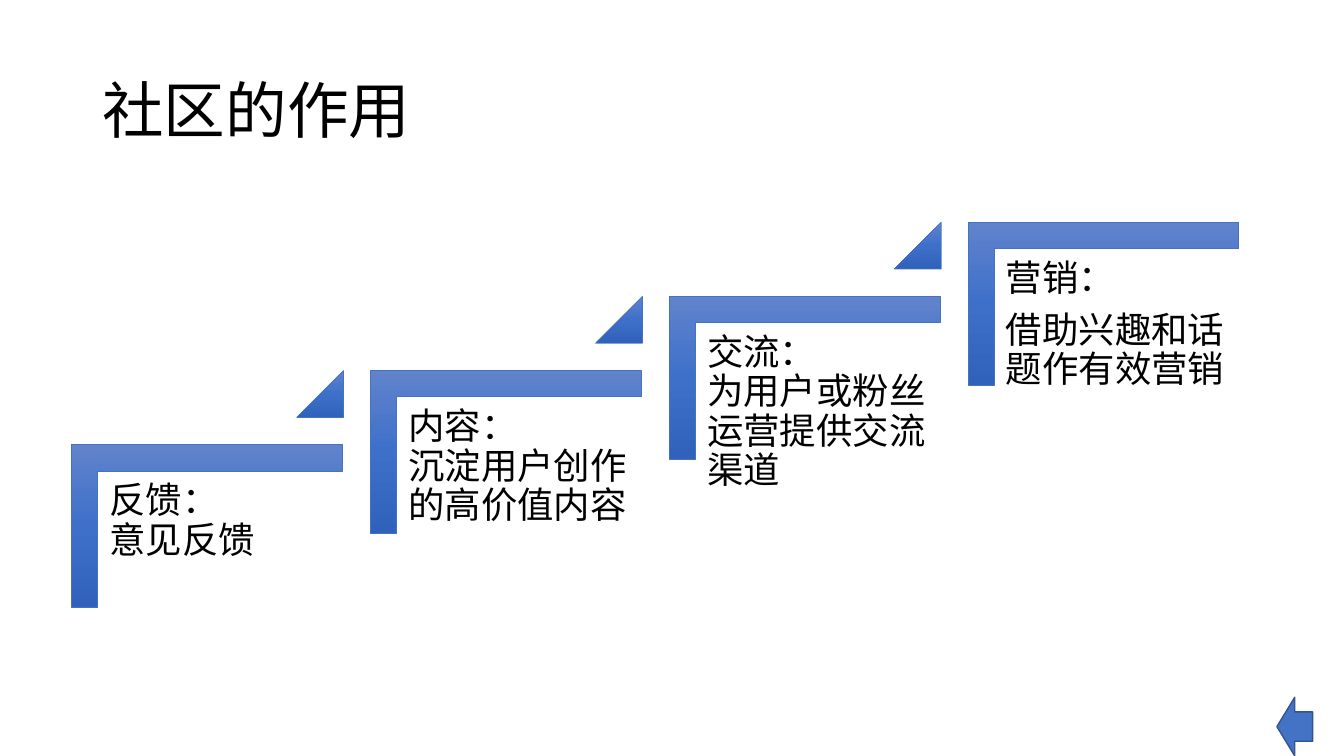
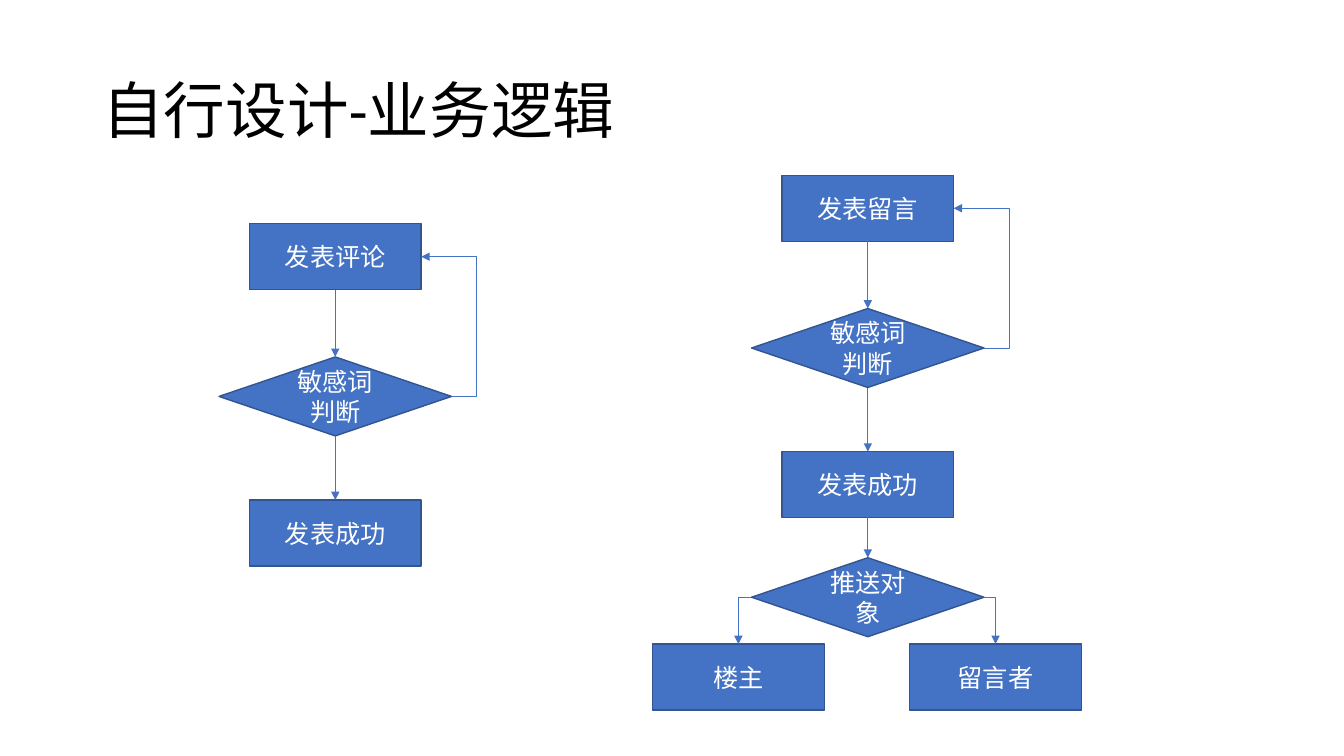
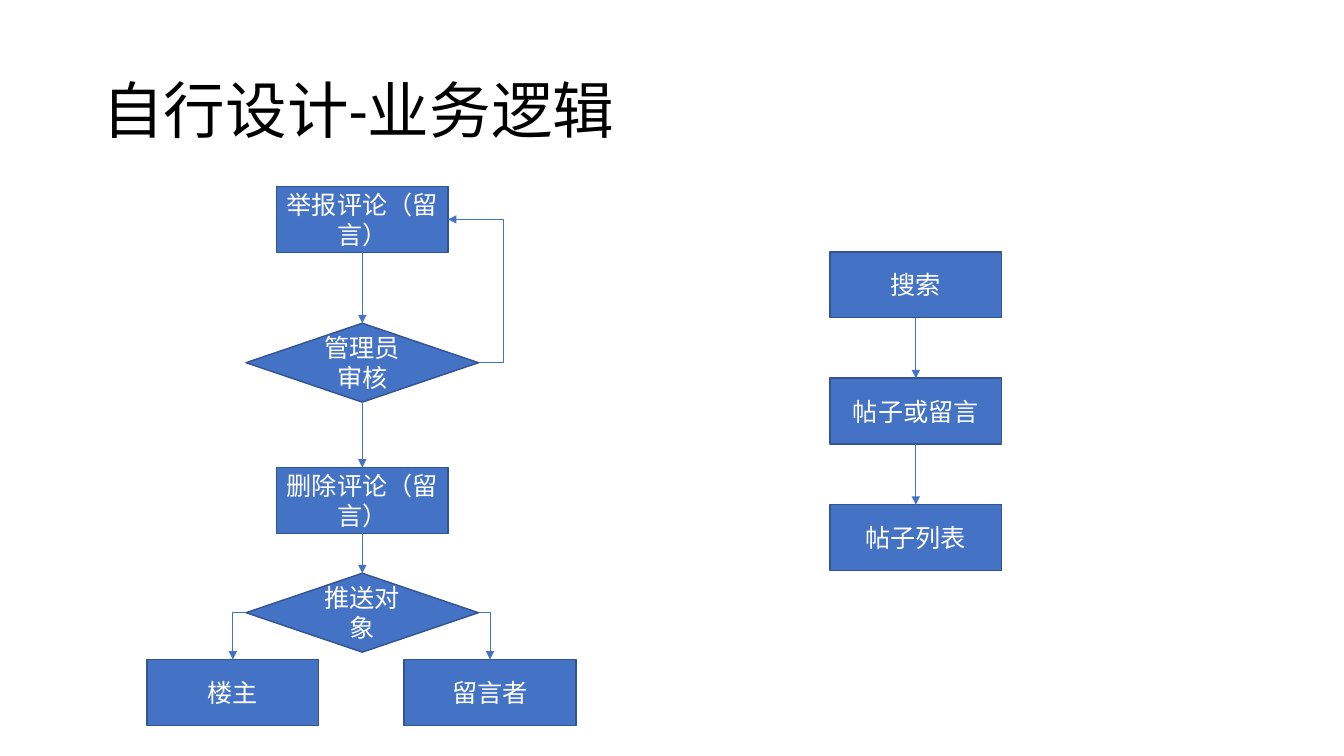
"""Build three slides on the community's role and its business logic."""
from copy import deepcopy
from dataclasses import dataclass

from lxml.etree import SubElement
from pptx import Presentation
from pptx.dml.color import RGBColor
from pptx.enum.shapes import MSO_CONNECTOR, MSO_SHAPE
from pptx.enum.text import MSO_ANCHOR, PP_ALIGN
from pptx.oxml.ns import qn
from pptx.shapes.autoshape import Shape
from pptx.shapes.connector import Connector
from pptx.slide import Slide
from pptx.util import Cm, Pt

FONT = "Calibri"
BLACK, WHITE = "000000", "FFFFFF"
BLUE, DARK_BLUE = "4472C4", "325491"
STEP_GRADIENT = ((0, "6183CB"), (0.5, "3E70CA"), (1, "3062BB"))

TOP, LEFT, BOTTOM, RIGHT = range(4)
ACTION, DECISION = MSO_SHAPE.RECTANGLE, MSO_SHAPE.DIAMOND
NODE_SIZES = {ACTION: (4.33, 1.66), DECISION: (5.86, 1.99)}
BRANCH_OFFSETS = {LEFT: -3.26, RIGHT: 3.22}

STEP_LEFT, STEP_TOP = 1.81, 11.21
STEP_WIDTH, STEP_HEIGHT = 6.82, 4.1
STEP_RUN, STEP_RISE = 7.53, 1.87
WEDGE_SIZE, WEDGE_OFFSET = 1.18, 5.67
CAPTION_OFFSET, CAPTION_WIDTH, CAPTION_HEIGHT = 0.67, 6.15, 5.38


@dataclass(frozen=True)
class Node:
    """One box of a flow, placed by the height of its centre."""

    text: str
    middle: float
    kind: MSO_SHAPE = ACTION


@dataclass(frozen=True)
class Flow:
    """A column of nodes, with an optional way back and a final branch."""

    centre: float
    nodes: tuple[Node, ...]
    retry: bool = False
    branch_middle: float | None = None
    branches: tuple[str, str] = ("楼主", "留言者")


STEPS = (
    ("反馈：\n意见反馈",),
    ("内容：\n沉淀用户创作的高价值内容",),
    ("交流：\n为用户或粉丝运营提供交流渠道",),
    ("营销：", "借助兴趣和话题作有效营销"),
)

POSTING_FLOWS = (
    Flow(8.45, (
        Node("发表评论", 6.47),
        Node("敏感词判断", 9.99, DECISION),
        Node("发表成功", 13.43),
    ), retry=True),
    Flow(21.87, (
        Node("发表留言", 5.25),
        Node("敏感词判断", 8.77, DECISION),
        Node("发表成功", 12.21),
        Node("推送对象", 15.05, DECISION),
    ), retry=True, branch_middle=17.06),
)

REPORT_AND_SEARCH_FLOWS = (
    Flow(9.13, (
        Node("举报评论（留言）", 5.53),
        Node("管理员审核", 9.14, DECISION),
        Node("删除评论（留言）", 12.61),
        Node("推送对象", 15.44, DECISION),
    ), retry=True, branch_middle=17.45),
    Flow(23.08, (
        Node("搜索", 7.18),
        Node("帖子或留言", 10.36),
        Node("帖子列表", 13.55),
    )),
)


def colour(value: str) -> RGBColor:
    """Turn a hex string into a colour."""
    return RGBColor.from_string(value)


def write(shape: Shape, paragraphs: tuple[str, ...], size: float, ink: str,
          align: PP_ALIGN = PP_ALIGN.LEFT, line_spacing: float = 1,
          space_after: float = 0) -> None:
    """Fill a shape with evenly styled paragraphs."""
    frame = shape.text_frame
    frame.word_wrap = True
    for index, text in enumerate(paragraphs):
        paragraph = frame.add_paragraph() if index else frame.paragraphs[0]
        paragraph.text = text
        paragraph.alignment = align
        paragraph.line_spacing = line_spacing
        paragraph.space_after = Pt(space_after)
        paragraph.font.name = FONT
        paragraph.font.size = Pt(size)
        paragraph.font.color.rgb = colour(ink)


def add_block(slide: Slide, kind: MSO_SHAPE, left: float, top: float, width: float,
              height: float, outline: str = DARK_BLUE, weight: float = 1) -> Shape:
    """Add a blue preset shape without a shadow."""
    block = slide.shapes.add_shape(kind, Cm(left), Cm(top), Cm(width), Cm(height))
    block.shadow.inherit = False
    block.fill.solid()
    block.fill.fore_color.rgb = colour(BLUE)
    block.line.color.rgb = colour(outline)
    block.line.width = Pt(weight)
    return block


def shade(shape: Shape) -> None:
    """Give a shape the upright step gradient."""
    shape.fill.gradient()
    shape.fill.gradient_angle = 270
    gradient = shape._element.spPr.find(qn("a:gradFill"))
    gradient.set("rotWithShape", "0")
    stops = gradient.find(qn("a:gsLst"))
    stops.append(deepcopy(stops[0]))
    for stop, (position, value) in zip(shape.fill.gradient_stops, STEP_GRADIENT):
        stop.position = position
        stop.color.rgb = colour(value)


def add_titled_slide(deck: Presentation, title: str) -> Slide:
    """Add a blank slide with the shared title style."""
    slide = deck.slides.add_slide(deck.slide_layouts[6])
    heading = slide.shapes.add_textbox(Cm(2.33), Cm(1.01), Cm(29.21), Cm(3.68))
    heading.text_frame.vertical_anchor = MSO_ANCHOR.MIDDLE
    write(heading, (title,), 44, BLACK, line_spacing=0.9)
    return slide


def add_step(slide: Slide, index: int, paragraphs: tuple[str, ...]) -> None:
    """Draw one stair with its caption, and a wedge unless it is the last."""
    left = STEP_LEFT + index * STEP_RUN
    top = STEP_TOP - index * STEP_RISE
    inset = (STEP_WIDTH - STEP_HEIGHT) / 2
    corner = add_block(slide, MSO_SHAPE.CORNER, left + inset, top - inset,
                       STEP_HEIGHT, STEP_WIDTH, BLUE, 0.5)
    corner.rotation = 90
    corner.adjustments[0] = corner.adjustments[1] = 0.16
    shade(corner)

    caption = slide.shapes.add_textbox(
        Cm(left + CAPTION_OFFSET), Cm(top + CAPTION_OFFSET),
        Cm(CAPTION_WIDTH), Cm(CAPTION_HEIGHT))
    frame = caption.text_frame
    frame.margin_left = frame.margin_right = Cm(0.28)
    frame.margin_top = frame.margin_bottom = Cm(0.28)
    write(caption, paragraphs, 26, BLACK, line_spacing=0.9, space_after=9.1)

    if index < len(STEPS) - 1:
        wedge = add_block(slide, MSO_SHAPE.ISOSCELES_TRIANGLE, left + WEDGE_OFFSET,
                          top - STEP_RISE, WEDGE_SIZE, WEDGE_SIZE, BLUE, 0.5)
        wedge.adjustments[0] = 1
        shade(wedge)


def add_node(slide: Slide, node: Node, centre: float) -> Shape:
    """Draw one flow node around its centre."""
    width, height = NODE_SIZES[node.kind]
    box = add_block(slide, node.kind, centre - width / 2, node.middle - height / 2,
                    width, height)
    box.text_frame.vertical_anchor = MSO_ANCHOR.MIDDLE
    write(box, (node.text,), 18, WHITE, PP_ALIGN.CENTER)
    return box


def link(slide: Slide, start: Shape, start_side: int, end: Shape, end_side: int,
         kind: MSO_CONNECTOR = MSO_CONNECTOR.STRAIGHT) -> Connector:
    """Join two nodes with a thin arrow."""
    arrow = slide.shapes.add_connector(kind, 0, 0, 0, 0)
    arrow.begin_connect(start, start_side)
    arrow.end_connect(end, end_side)
    arrow.line.color.rgb = colour(BLUE)
    arrow.line.width = Pt(0.5)
    line = arrow._element.spPr.find(qn("a:ln"))
    SubElement(line, qn("a:tailEnd"), type="triangle")
    SubElement(arrow._element.spPr, qn("a:effectLst"))
    return arrow


def add_flow(slide: Slide, flow: Flow) -> None:
    """Draw a flow from its first node down to its branches."""
    boxes = [add_node(slide, node, flow.centre) for node in flow.nodes]
    for upper, lower in zip(boxes, boxes[1:]):
        link(slide, upper, BOTTOM, lower, TOP)
    if flow.retry:
        way_back = link(slide, boxes[1], RIGHT, boxes[0], RIGHT, MSO_CONNECTOR.ELBOW)
        guides = way_back._element.spPr.find(qn("a:prstGeom")).get_or_add_avLst()
        SubElement(guides, qn("a:gd"), name="adj1", fmla="val -82900")
    if flow.branch_middle is not None:
        for (side, offset), text in zip(BRANCH_OFFSETS.items(), flow.branches):
            target = add_node(slide, Node(text, flow.branch_middle), flow.centre + offset)
            bend = link(slide, boxes[-1], side, target, TOP, MSO_CONNECTOR.ELBOW)
            bend._element.spPr.find(qn("a:prstGeom")).set("prst", "bentConnector2")


def main() -> None:
    """Build and save the deck."""
    deck = Presentation()
    deck.slide_width, deck.slide_height = Cm(33.87), Cm(19.05)

    roles = add_titled_slide(deck, "社区的作用")
    for index, paragraphs in enumerate(STEPS):
        add_step(roles, index, paragraphs)
    add_block(roles, MSO_SHAPE.LEFT_ARROW, 32.18, 17.57, 0.9, 1.48)

    for flows in (POSTING_FLOWS, REPORT_AND_SEARCH_FLOWS):
        logic = add_titled_slide(deck, "自行设计-业务逻辑")
        for flow in flows:
            add_flow(logic, flow)

    deck.save("out.pptx")


if __name__ == "__main__":
    main()
